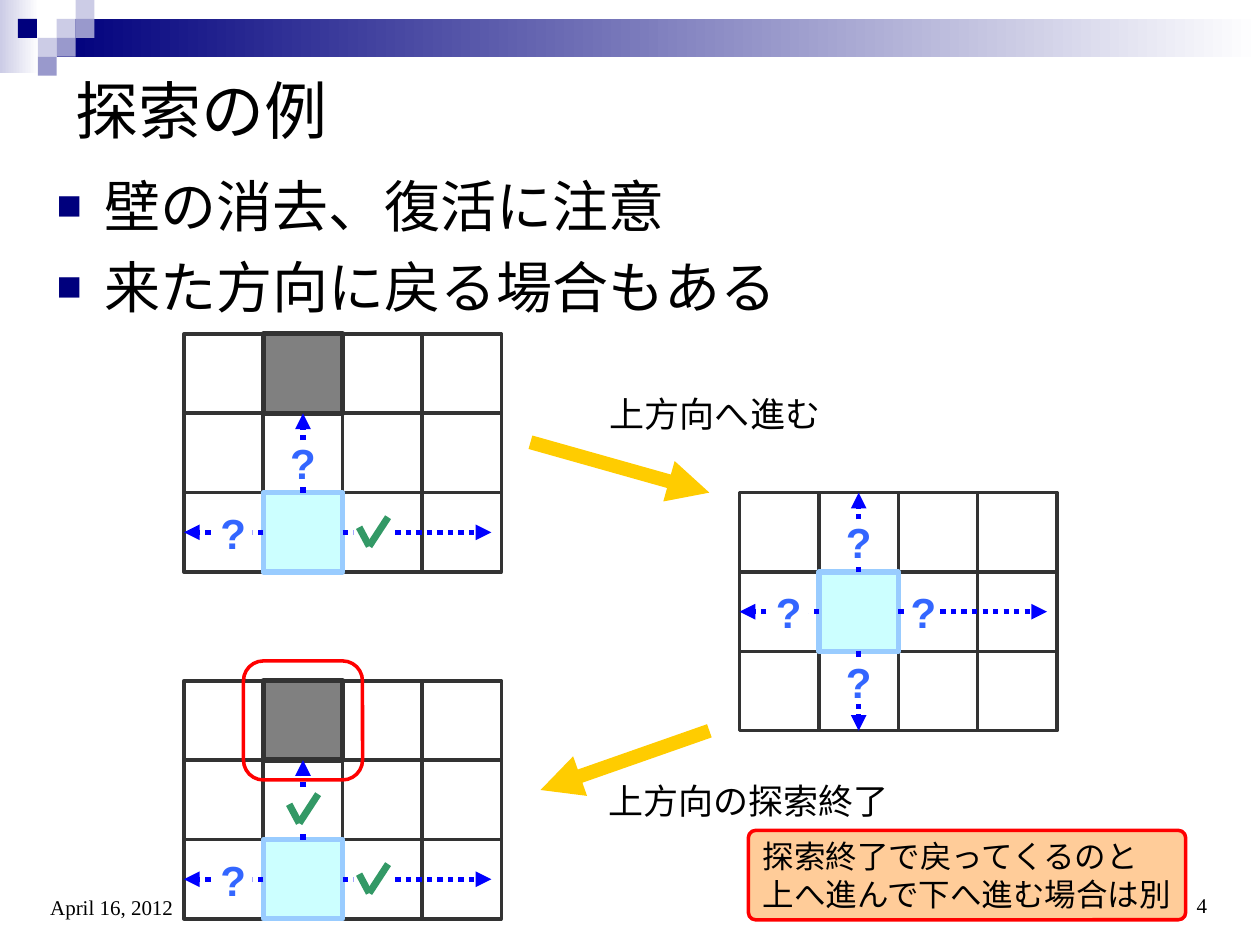
from dataclasses import dataclass
from itertools import pairwise, product

from lxml import etree
from pptx import Presentation
from pptx.dml.color import RGBColor
from pptx.enum.dml import MSO_LINE
from pptx.enum.shapes import MSO_CONNECTOR, MSO_SHAPE
from pptx.enum.text import MSO_ANCHOR, MSO_AUTO_SIZE, PP_ALIGN
from pptx.oxml.ns import qn
from pptx.util import Inches, Pt

RECT, ROUNDED = MSO_SHAPE.RECTANGLE, MSO_SHAPE.ROUNDED_RECTANGLE
STRAIGHT, DOTTED = MSO_CONNECTOR.STRAIGHT, MSO_LINE.ROUND_DOT
LEFT, CENTER, RIGHT = PP_ALIGN.LEFT, PP_ALIGN.CENTER, PP_ALIGN.RIGHT
MIDDLE, TOP, BOTTOM = MSO_ANCHOR.MIDDLE, MSO_ANCHOR.TOP, MSO_ANCHOR.BOTTOM

CELL = 0.63                     # maze cell, inches
ORIGIN_X, ORIGIN_Y = 1.46, 2.65  # top left of the maze grid
COLUMNS, ROWS = 4, 3
TILE = 0.15                     # header tile, inches
UP, DOWN, TO_LEFT, TO_RIGHT = (0, -1), (0, 1), (-1, 0), (1, 0)
CHECK_POINTS = [(-0.11, -0.04), (-0.03, 0.11), (0.12, -0.12)]


@dataclass(frozen=True)
class Theme:
    sans: str = "Arial"
    serif: str = "Times New Roman"
    black: str = "000000"
    white: str = "FFFFFF"
    navy: str = "00007D"
    mid_tile: str = "9999CC"
    pale_tile: str = "CCCCE6"
    grid: str = "333333"
    wall: str = "808080"
    current: str = "CCFFFF"
    current_edge: str = "99CCFF"
    probe: str = "0000FF"
    question: str = "3366FF"
    check: str = "339966"
    step: str = "FFCC00"
    alert: str = "FF0000"
    note: str = "FFCC99"
    title_size: int = 36
    body_size: int = 32
    mark_size: int = 24
    label_size: int = 20
    note_size: int = 18
    footer_size: int = 12


T = Theme()


@dataclass
class Probe:
    """An arrow out of the current cell, with a mark at `gap` from its edge."""
    direction: tuple
    mark: str = "?"
    length: float = CELL
    gap: float = 0.24
    mark_width: float = 0.31


def rgb(value):
    return RGBColor.from_string(value)


def add_box(s, x, y, w, h, fill=None, line=None, width=2, kind=RECT):
    sp = s.shapes.add_shape(kind, Inches(x), Inches(y), Inches(w), Inches(h))
    sp.shadow.inherit = False
    if fill:
        sp.fill.solid()
        sp.fill.fore_color.rgb = rgb(fill)
    else:
        sp.fill.background()
    if line:
        sp.line.color.rgb = rgb(line)
        sp.line.width = Pt(width)
    else:
        sp.line.fill.background()
    return sp


def add_gradient(s, x, y, w, h, left, right):
    fill = add_box(s, x, y, w, h).fill
    fill.gradient()
    fill.gradient_angle = 0
    for stop, color in zip(fill.gradient_stops, (left, right)):
        stop.color.rgb = rgb(color)


def add_line(s, start, end, color, width, dash=None, arrow=False):
    points = [Inches(v) for v in (*start, *end)]
    line = s.shapes.add_connector(STRAIGHT, *points)
    line.line.color.rgb = rgb(color)
    line.line.width = Pt(width)
    if dash:
        line.line.dash_style = dash
    sp_pr = line._element.spPr
    if arrow:
        etree.SubElement(sp_pr.find(qn("a:ln")), qn("a:tailEnd"), type="triangle")
    etree.SubElement(sp_pr, qn("a:effectLst"))


def write(sp, lines, size, font=T.sans, color=T.black, align=LEFT,
          anchor=MIDDLE, wrap=True, bold=False):
    tf = sp.text_frame
    tf.text = "\n".join(lines)
    tf.auto_size = MSO_AUTO_SIZE.NONE
    tf.word_wrap = wrap
    tf.vertical_anchor = anchor
    for p in tf.paragraphs:
        p.alignment = align
        p.font.name, p.font.size, p.font.bold = font, Pt(size), bold
        p.font.color.rgb = rgb(color)
    return tf


def add_label(s, x, y, w, h, text, size, **style):
    sp = s.shapes.add_textbox(Inches(x), Inches(y), Inches(w), Inches(h))
    write(sp, [text], size, **style)


def place(sp, x, y, w, h):
    sp.left, sp.top, sp.width, sp.height = map(Inches, (x, y, w, h))


def add_bullet(p):
    p.space_before = Pt(8)
    p_pr = p._p.get_or_add_pPr()
    p_pr.set("marL", str(Inches(0.38)))
    p_pr.set("indent", str(-Inches(0.38)))
    bullet_color = etree.Element(qn("a:buClr"))
    etree.SubElement(bullet_color, qn("a:srgbClr"), val=T.navy)
    bullet = [bullet_color,
              etree.Element(qn("a:buSzPct"), val="75000"),
              etree.Element(qn("a:buFont"), typeface=T.sans),
              etree.Element(qn("a:buChar"), char="■")]
    p_pr.find(qn("a:defRPr")).getprevious().addnext(bullet[0])
    for before, after in pairwise(bullet):
        before.addnext(after)


def add_header(s):
    add_gradient(s, 0, 0, 0.31, 0.58, T.pale_tile, T.white)
    add_gradient(s, 3 * TILE, TILE, 10 - 3 * TILE, 0.3, T.navy, T.white)
    tiles = {T.pale_tile: [(3, 1), (4, 0), (2, 2)],
             T.mid_tile: [(4, 1), (3, 2), (2, 3)],
             T.navy: [(0.95, 1)]}
    for color, spots in tiles.items():
        for col, row in spots:
            add_box(s, col * TILE, row * TILE, TILE, TILE, color)


def add_mark(s, cx, cy, mark, width):
    sp = add_box(s, cx - width / 2, cy - 0.16, width, 0.32, T.white)
    if mark == "?":
        write(sp, [mark], T.mark_size, color=T.question, align=CENTER,
              wrap=False, bold=True)
    else:
        points = [(cx + dx, cy + dy) for dx, dy in CHECK_POINTS]
        for start, end in pairwise(points):
            add_line(s, start, end, T.check, 4)


def add_maze(s, col, row, current, probes, wall=None):
    """Draw a maze whose top left is at (col, row) of the cell grid."""
    def corner(cell):
        return ORIGIN_X + (col + cell[0]) * CELL, ORIGIN_Y + (row + cell[1]) * CELL

    for cell in product(range(COLUMNS), range(ROWS)):
        if cell not in (current, wall):
            add_box(s, *corner(cell), CELL, CELL, T.white, T.grid)
    add_box(s, *corner(current), CELL, CELL, T.current, T.current_edge, 3)
    if wall:
        add_box(s, *corner(wall), CELL, CELL, T.wall, T.grid, 3)

    cx, cy = (v + CELL / 2 for v in corner(current))
    for probe in probes:
        dx, dy = probe.direction
        start, end, center = [
            (cx + dx * (CELL / 2 + d), cy + dy * (CELL / 2 + d))
            for d in (0, probe.length, probe.gap)]
        add_line(s, start, end, T.probe, 3, DOTTED, arrow=True)
        add_mark(s, *center, probe.mark, probe.mark_width)
    return corner


def main():
    prs = Presentation()
    prs.slide_width, prs.slide_height = Inches(10), Inches(7.5)
    s = prs.slides.add_slide(prs.slide_layouts[1])
    add_header(s)

    title, body = s.placeholders
    place(title, 0.5, 0.5, 9.15, 0.73)
    write(title, ["探索の例"], T.title_size)
    place(body, 0.35, 1.31, 9.29, 1.42)
    tf = write(body, ["壁の消去、復活に注意", "来た方向に戻る場合もある"],
               T.body_size, font=T.serif, anchor=TOP)
    for p in tf.paragraphs:
        add_bullet(p)

    wall, right_length = (1, 0), 1.18
    checked_right = Probe(TO_RIGHT, "check", right_length)
    add_maze(s, 0, 0, (1, 2), [Probe(UP), Probe(TO_LEFT), checked_right], wall)
    add_maze(s, 7, 2, (1, 1), [
        Probe(UP), Probe(DOWN), Probe(TO_LEFT),
        Probe(TO_RIGHT, length=right_length, gap=0.2, mark_width=0.24)])
    corner = add_maze(s, 0, 4.37, (1, 2), [
        Probe(UP, "check"), Probe(TO_LEFT), checked_right], wall)
    ring_x, ring_y = corner((0.75, -0.25))
    add_box(s, ring_x, ring_y, 1.5 * CELL, 1.5 * CELL, line=T.alert, kind=ROUNDED)

    add_line(s, (4.21, 3.51), (5.63, 3.91), T.step, 8, arrow=True)
    add_line(s, (5.63, 5.8), (4.29, 6.27), T.step, 8, arrow=True)
    caption = {"align": CENTER, "wrap": False}
    add_label(s, 4.69, 3.12, 1.97, 0.32, "上方向へ進む", T.label_size, **caption)
    add_label(s, 4.76, 6.19, 2.36, 0.32, "上方向の探索終了", T.label_size, **caption)

    note = add_box(s, 5.94, 6.59, 3.47, 0.71, T.note, T.alert, kind=ROUNDED)
    note.adjustments[0] = 0.08
    tf = write(note, ["探索終了で戻ってくるのと", "上へ進んで下へ進む場合は別"], T.note_size)
    tf.margin_right = 0

    # The footer texts stand clear of the maze and of the note.
    footer = {"font": T.serif, "anchor": BOTTOM}
    add_label(s, 7.35, 6.83, 2.33, 0.5, "4", T.footer_size, align=RIGHT, **footer)
    add_label(s, 0.3, 6.83, 1.16, 0.52, "April 16, 2012", T.footer_size,
              wrap=False, **footer)
    prs.save("out.pptx")


if __name__ == "__main__":
    main()
